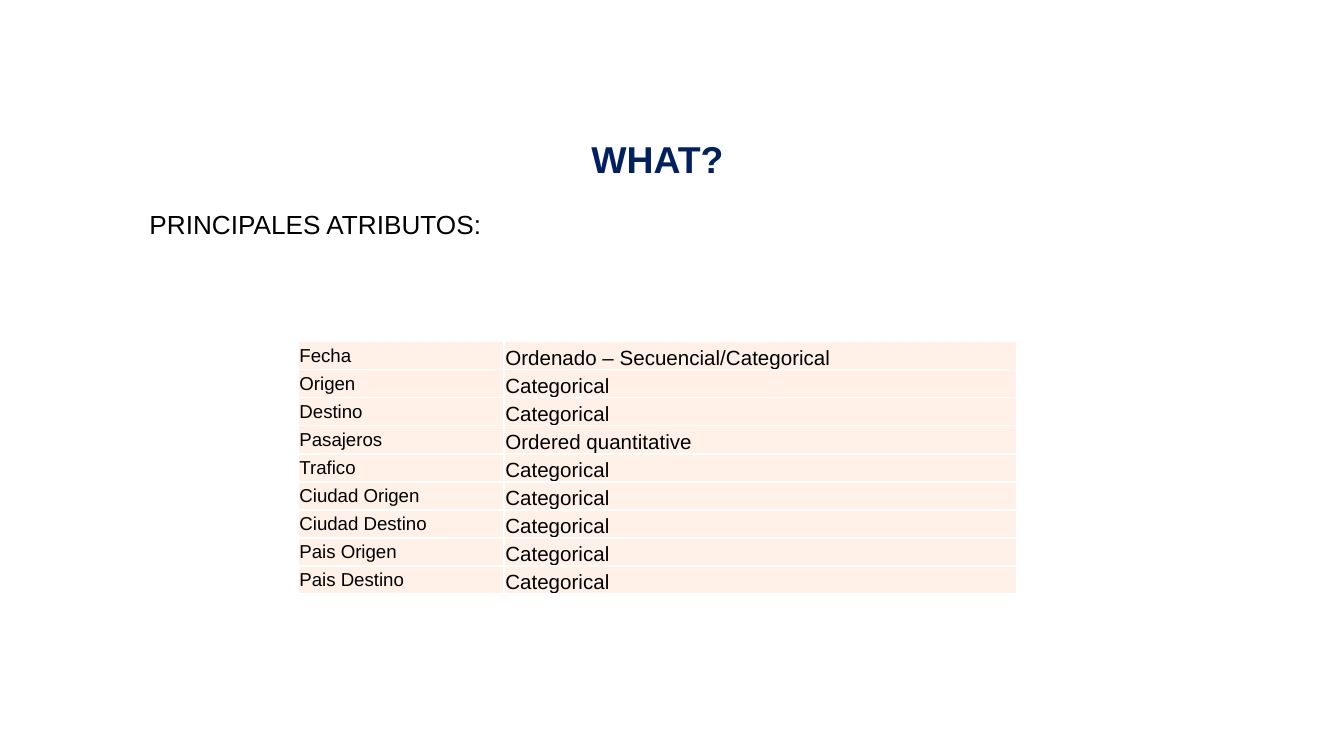
from lxml import etree
from pptx import Presentation
from pptx import util as u
from pptx.dml.color import RGBColor
from pptx.enum import text
from pptx.oxml import ns

NAVY = RGBColor(0x00, 0x20, 0x60)
BLACK = RGBColor(0x00, 0x00, 0x00)
PEACH = RGBColor(0xFF, 0xF1, 0xE8)
WHITE = RGBColor(0xFF, 0xFF, 0xFF)
FONT = "Arial"

ATTRIBUTES = [
    ("Fecha", "Ordenado – Secuencial/Categorical"),
    ("Origen", "Categorical"),
    ("Destino", "Categorical"),
    ("Pasajeros", "Ordered quantitative"),
    ("Trafico", "Categorical"),
    ("Ciudad Origen", "Categorical"),
    ("Ciudad Destino", "Categorical"),
    ("Pais Origen", "Categorical"),
    ("Pais Destino", "Categorical"),
]
COLUMN_WIDTHS = (3.89, 9.68)
ROW_HEIGHT = 0.53
COLUMN_STYLES = (
    (10, text.MSO_ANCHOR.MIDDLE),
    (11, text.MSO_ANCHOR.BOTTOM),
)


def format_paragraph(paragraph, size, color, bold=False):
    paragraph.font.name = FONT
    paragraph.font.size = u.Pt(size)
    paragraph.font.bold = bold
    paragraph.font.color.rgb = color


def fill_placeholder(placeholder, wording, top, height, size, color, align, bold=False):
    placeholder.left, placeholder.top = u.Cm(2.57), u.Cm(top)
    placeholder.width, placeholder.height = u.Cm(19.71), u.Cm(height)
    frame = placeholder.text_frame
    frame.text = wording
    frame.word_wrap = True
    frame.auto_size = text.MSO_AUTO_SIZE.NONE
    frame.vertical_anchor = text.MSO_ANCHOR.TOP
    paragraph = frame.paragraphs[0]
    paragraph.alignment = align
    paragraph.space_before = u.Pt(0)
    format_paragraph(paragraph, size, color, bold)
    properties = paragraph._p.get_or_add_pPr()
    properties.set("marL", "0")
    properties.set("indent", "0")
    bullet = etree.SubElement(properties, ns.qn("a:buNone"))
    properties.find(ns.qn("a:defRPr")).addprevious(bullet)


def add_borders(cell):
    properties = cell._tc.get_or_add_tcPr()
    for position, side in enumerate(("lnL", "lnR", "lnT", "lnB")):
        border = etree.Element(ns.qn(f"a:{side}"), w=str(u.Pt(1)))
        fill = etree.SubElement(border, ns.qn("a:solidFill"))
        etree.SubElement(fill, ns.qn("a:srgbClr"), val=str(WHITE))
        properties.insert(position, border)


def fill_cell(cell, wording, size, anchor):
    cell.text = wording
    cell.vertical_anchor = anchor
    cell.margin_left = cell.margin_right = cell.margin_top = u.Cm(0.02)
    cell.margin_bottom = 0
    cell.fill.solid()
    cell.fill.fore_color.rgb = PEACH
    format_paragraph(cell.text_frame.paragraphs[0], size, BLACK)
    add_borders(cell)


def add_attribute_table(slide):
    table = slide.shapes.add_table(
        len(ATTRIBUTES), len(COLUMN_WIDTHS), u.Cm(5.64), u.Cm(6.45),
        u.Cm(sum(COLUMN_WIDTHS)), u.Cm(ROW_HEIGHT * len(ATTRIBUTES)),
    ).table
    table.first_row = False
    table.horz_banding = False
    for column, width in zip(table.columns, COLUMN_WIDTHS):
        column.width = u.Cm(width)
    for row, attribute in zip(table.rows, ATTRIBUTES):
        row.height = u.Cm(ROW_HEIGHT)
        for cell, wording, (size, anchor) in zip(row.cells, attribute, COLUMN_STYLES):
            fill_cell(cell, wording, size, anchor)


def main():
    deck = Presentation()
    deck.slide_width, deck.slide_height = u.Cm(25.4), u.Cm(14.28)
    slide = deck.slides.add_slide(deck.slide_layouts[1])
    heading, subheading = slide.placeholders
    fill_placeholder(heading, "WHAT?", 2.44, 1.07, 20, NAVY,
                     text.PP_ALIGN.CENTER, bold=True)
    fill_placeholder(subheading, "PRINCIPALES ATRIBUTOS:", 3.81, 0.94, 14, BLACK,
                     text.PP_ALIGN.LEFT)
    add_attribute_table(slide)
    deck.save("out.pptx")


if __name__ == "__main__":
    main()
